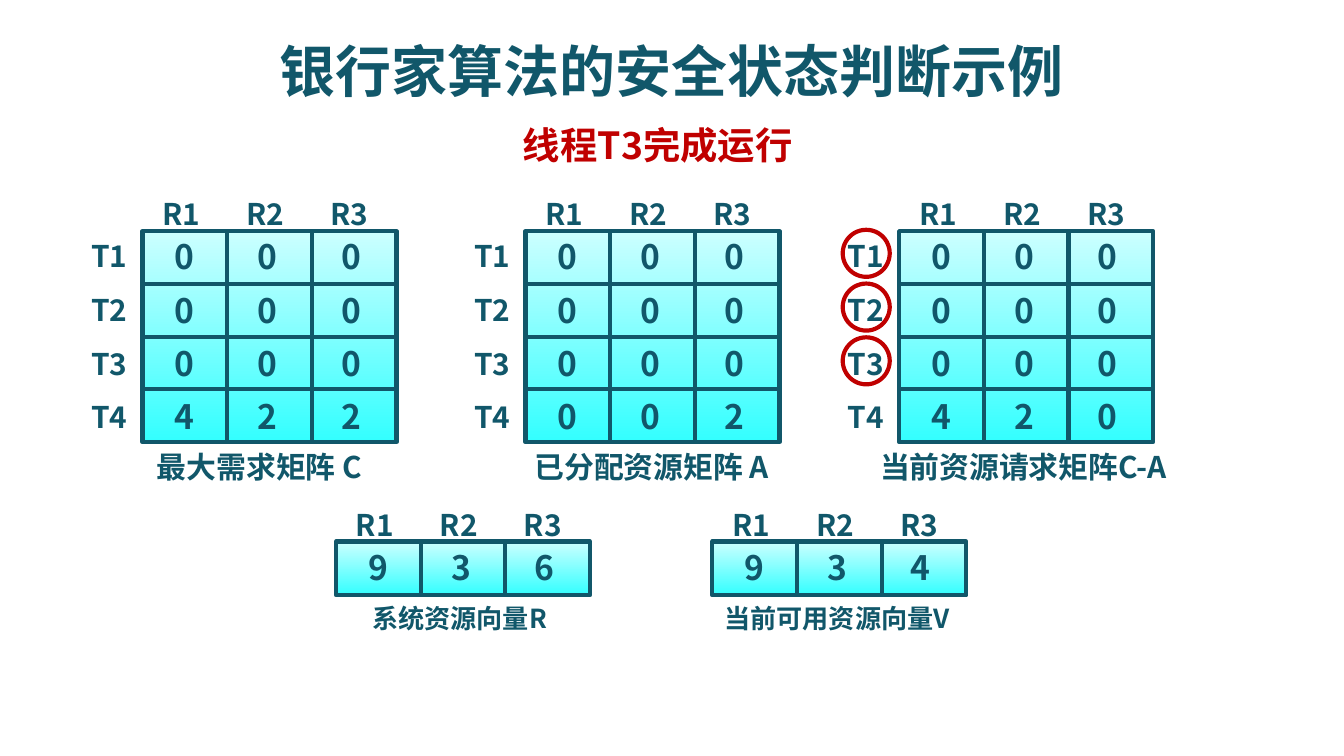
from lxml import etree
from pptx import Presentation, util as u
from pptx.dml.color import RGBColor
from pptx.enum import shapes, text
from pptx.oxml.ns import qn

FONT, TEAL, RED = "Noto Sans CJK SC", "11576A", "C00000"
TITLE = "银行家算法的安全状态判断示例"
SUBTITLE = "线程T3完成运行"
RESOURCES = ["R1", "R2", "R3"]
THREADS = ["T1", "T2", "T3", "T4"]
FINISHED = ["T1", "T2", "T3"]
COL_W, ROW_H = 0.63, 0.39
MATRIX_TOP, VECTOR_TOP = 1.72, 4.03
REQUEST_LEFT = 6.69

# left, top, row labels, values, caption, caption shift, caption width, caption size
GRIDS = [
    (1.06, MATRIX_TOP, THREADS, ["000", "000", "000", "422"],
     "最大需求矩阵 C", 0.01, 1.77, 16),
    (3.91, MATRIX_TOP, THREADS, ["000", "000", "000", "002"],
     "已分配资源矩阵 A", -0.03, 2.01, 16),
    (REQUEST_LEFT, MATRIX_TOP, THREADS, ["000", "000", "000", "420"],
     "当前资源请求矩阵C-A", -0.24, 2.42, 16),
    (2.5, VECTOR_TOP, [], ["936"], "系统资源向量R", 0.17, 1.51, 14),
    (5.3, VECTOR_TOP, [], ["934"], "当前可用资源向量V", -0.01, 1.91, 14),
]


def rgb(value):
    """Turn a hex string into a colour."""
    return RGBColor.from_string(value)


def inches(*values):
    """Convert lengths in inches."""
    return [u.Inches(v) for v in values]


def add_text(s, words, box, size, color=TEAL, wrap=False, center=False):
    """Add one bold paragraph in a text box."""
    tf = s.shapes.add_textbox(*inches(*box)).text_frame
    tf.word_wrap = wrap
    if not wrap:
        tf.auto_size = text.MSO_AUTO_SIZE.SHAPE_TO_FIT_TEXT
    if center:
        tf.vertical_anchor = text.MSO_ANCHOR.MIDDLE
    p = tf.paragraphs[0]
    p.text = words
    p.alignment = text.PP_ALIGN.CENTER if center else text.PP_ALIGN.LEFT
    font = p.font
    font.size, font.bold, font.name = u.Pt(size), True, FONT
    font.color.rgb = rgb(color)
    default = p._p.pPr.find(qn("a:defRPr"))
    etree.SubElement(default, qn("a:ea")).set("typeface", FONT)


def add_outline(s, kind, box, color):
    """Add a preset shape with an outline and no fill."""
    sp = s.shapes.add_shape(kind, *inches(*box))
    sp.shadow.inherit = False
    sp.fill.background()
    sp.line.color.rgb, sp.line.width = rgb(color), u.Pt(2.25)
    return sp


def add_rule(s, x1, y1, x2, y2):
    """Add a straight grid line."""
    line = s.shapes.add_connector(shapes.MSO_CONNECTOR.STRAIGHT, *inches(x1, y1, x2, y2))
    line.line.color.rgb, line.line.width = rgb(TEAL), u.Pt(2.25)
    etree.SubElement(line._element.spPr, qn("a:effectLst"))


def add_grid(s, left, top, labels, rows, caption, shift, width, size):
    """Draw a matrix or vector with headings, values and caption."""
    right, bottom = left + 3 * COL_W, top + len(rows) * ROW_H + 0.01
    sp = add_outline(s, shapes.MSO_SHAPE.RECTANGLE,
                     (left, top, right - left, bottom - top), TEAL)
    sp.fill.gradient()
    sp.fill.gradient_angle = 270
    for stop, color in zip(sp.fill.gradient_stops, ("CCFFFF", "33FFFF")):
        stop.color.rgb = rgb(color)
    for i in range(1, len(rows)):
        y = top + i * (bottom - top) / len(rows)
        add_rule(s, left, y, right, y)
    for i in (1, 2):
        add_rule(s, left + i * COL_W, top, left + i * COL_W, bottom)
    for i, name in enumerate(RESOURCES):
        add_text(s, name, (left + 0.05 + i * 0.625, top - 0.31, 0.5, 0.37), 16)
    for i, name in enumerate(labels):
        add_text(s, name, (left - 0.48, top + i * 0.4, 0.48, 0.37), 16)
    for i, row in enumerate(rows):
        for j, value in enumerate(row):
            add_text(s, value, (left + 0.14 + j * 0.62, top - 0.01 + i * 0.395, 0.36, 0.4), 18)
    add_text(s, caption, (left + shift, bottom, width, 0.37), size, wrap=True)


prs = Presentation()
prs.slide_width = u.Inches(10)
prs.slide_height = prs.slide_width * 9 // 16
s = prs.slides.add_slide(prs.slide_layouts[6])
add_text(s, TITLE, (0.5, 0.24, 9, 0.56), 30, wrap=True, center=True)
add_text(s, SUBTITLE, (2.35, 0.84, 5.09, 0.47), 20, RED, wrap=True, center=True)
for grid in GRIDS:
    add_grid(s, *grid)
for name in FINISHED:
    y = MATRIX_TOP - 0.01 + THREADS.index(name) * 0.4
    add_outline(s, shapes.MSO_SHAPE.OVAL, (REQUEST_LEFT - 0.42, y, 0.35, 0.35), RED)
prs.save("out.pptx")
